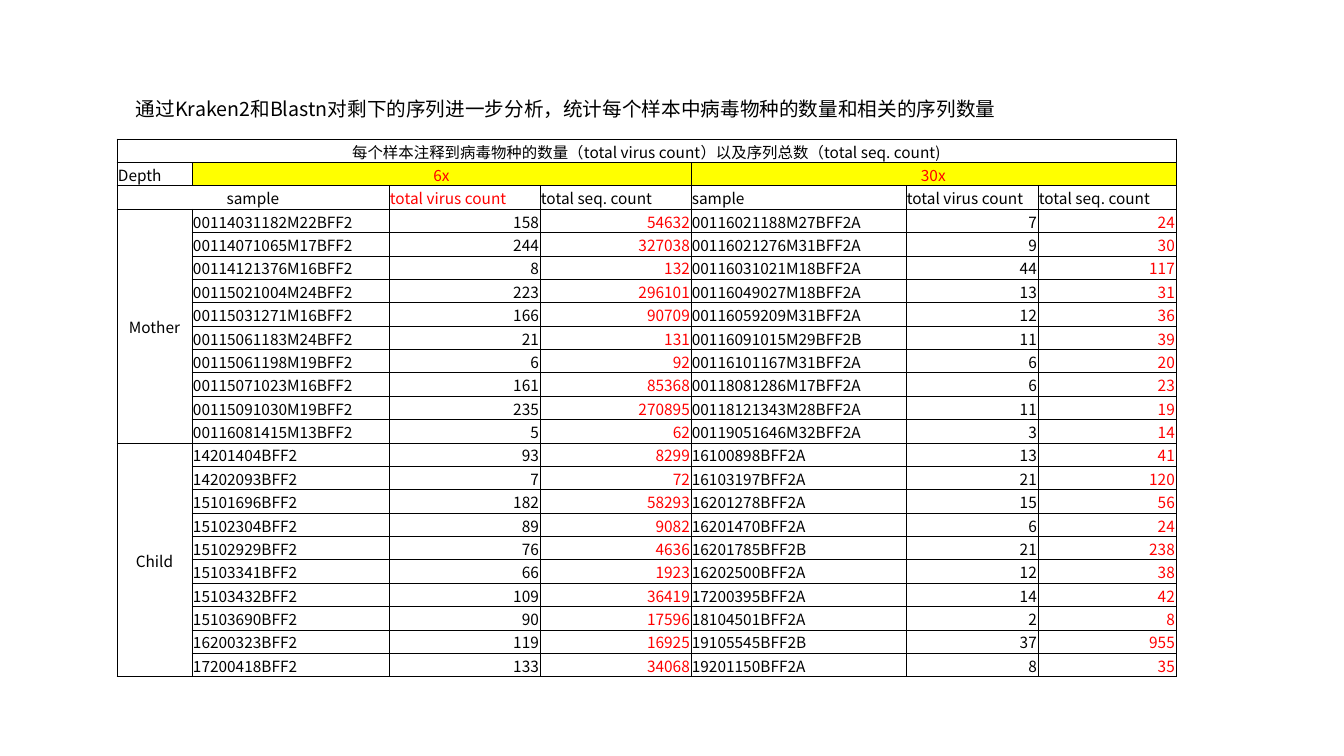
import lxml.etree
import pptx
import pptx.dml.color
import pptx.enum.text
import pptx.oxml.ns
import pptx.util

ALIGN = pptx.enum.text.PP_ALIGN
ANCHOR = pptx.enum.text.MSO_ANCHOR
BLACK, RED, YELLOW = "000000", "FF0000", "FFFF00"
VIRUS, SEQ = "total virus count", "total seq. count"

COLUMN_WIDTHS = [75, 197, 151, 151, 215, 132, 138]
ROW_HEIGHT = 20
COLUMN_COLORS = [BLACK, BLACK, BLACK, RED, BLACK, BLACK, RED]
COLUMN_ALIGNS = [ALIGN.CENTER, ALIGN.LEFT, ALIGN.RIGHT, ALIGN.RIGHT,
                 ALIGN.LEFT, ALIGN.RIGHT, ALIGN.RIGHT]

MOTHERS = [
    ("00114031182M22BFF2", 158, 54632, "00116021188M27BFF2A", 7, 24),
    ("00114071065M17BFF2", 244, 327038, "00116021276M31BFF2A", 9, 30),
    ("00114121376M16BFF2", 8, 132, "00116031021M18BFF2A", 44, 117),
    ("00115021004M24BFF2", 223, 296101, "00116049027M18BFF2A", 13, 31),
    ("00115031271M16BFF2", 166, 90709, "00116059209M31BFF2A", 12, 36),
    ("00115061183M24BFF2", 21, 131, "00116091015M29BFF2B", 11, 39),
    ("00115061198M19BFF2", 6, 92, "00116101167M31BFF2A", 6, 20),
    ("00115071023M16BFF2", 161, 85368, "00118081286M17BFF2A", 6, 23),
    ("00115091030M19BFF2", 235, 270895, "00118121343M28BFF2A", 11, 19),
    ("00116081415M13BFF2", 5, 62, "00119051646M32BFF2A", 3, 14),
]
CHILDREN = [
    ("14201404BFF2", 93, 8299, "16100898BFF2A", 13, 41),
    ("14202093BFF2", 7, 72, "16103197BFF2A", 21, 120),
    ("15101696BFF2", 182, 58293, "16201278BFF2A", 15, 56),
    ("15102304BFF2", 89, 9082, "16201470BFF2A", 6, 24),
    ("15102929BFF2", 76, 4636, "16201785BFF2B", 21, 238),
    ("15103341BFF2", 66, 1923, "16202500BFF2A", 12, 38),
    ("15103432BFF2", 109, 36419, "17200395BFF2A", 14, 42),
    ("15103690BFF2", 90, 17596, "18104501BFF2A", 2, 8),
    ("16200323BFF2", 119, 16925, "19105545BFF2B", 37, 955),
    ("17200418BFF2", 133, 34068, "19201150BFF2A", 8, 35),
]
HEADINGS = [
    ("每个样本注释到病毒物种的数量（total virus count）以及序列总数（total seq. count)",
     "", "", "", "", "", ""),
    ("Depth", "6x", "", "", "30x", "", ""),
    ("sample", "", VIRUS, SEQ, "sample", VIRUS, SEQ),
]
HEADING_FORMATS = {
    (0, 0): {"align": ALIGN.CENTER},
    (1, 1): {"align": ALIGN.CENTER, "color": RED},
    (1, 4): {"align": ALIGN.CENTER, "color": RED},
    (2, 0): {"align": ALIGN.CENTER},
    (2, 2): {"color": RED},
}
MERGES = [((0, 0), (0, 6)), ((1, 1), (1, 3)), ((1, 4), (1, 6)),
          ((2, 0), (2, 1)), ((3, 0), (12, 0)), ((13, 0), (22, 0))]


def px(length):
    return pptx.util.Emu(round(length * 914400 / 100.8))


def rgb(color):
    return pptx.dml.color.RGBColor.from_string(color)


def write(frame, text, font, size=11, color=BLACK, align=ALIGN.LEFT):
    paragraph = frame.paragraphs[0]
    paragraph.alignment = align
    run = paragraph.add_run()
    run.text = str(text)
    run.font.name = font
    run.font.size = pptx.util.Pt(size)
    run.font.color.rgb = rgb(color)
    east_asian = lxml.etree.SubElement(run.font._element, pptx.oxml.ns.qn("a:ea"))
    east_asian.set("typeface", font)


class VirusSlide:
    """Holds the shared style and the slide being filled."""

    font = "Noto Sans CJK SC"
    border_width = pptx.util.Pt(0.5)

    def __init__(self, deck):
        self.slide = deck.slides.add_slide(deck.slide_layouts[6])

    def title(self, text, left, top, width, height):
        box = self.slide.shapes.add_textbox(px(left), px(top), px(width), px(height))
        box.text_frame.word_wrap = True
        write(box.text_frame, text, self.font, size=14)

    def table(self, rows, left, top):
        size = px(sum(COLUMN_WIDTHS)), px(ROW_HEIGHT * len(rows))
        counts = self.slide.shapes.add_table(
            len(rows), len(COLUMN_WIDTHS), px(left), px(top), *size).table
        counts.first_row = counts.horz_banding = False
        for column, width in zip(counts.columns, COLUMN_WIDTHS):
            column.width = px(width)
        for row in counts.rows:
            row.height = px(ROW_HEIGHT)
        for r, values in enumerate(rows):
            for c, value in enumerate(values):
                if r < len(HEADINGS):
                    style = HEADING_FORMATS.get((r, c), {})
                else:
                    style = {"color": COLUMN_COLORS[c], "align": COLUMN_ALIGNS[c]}
                self.cell(counts.cell(r, c), value, style,
                          fill=YELLOW if r == 1 and c else None,
                          anchor=ANCHOR.BOTTOM if (r, c) == (1, 0) else ANCHOR.MIDDLE)
        for first, last in MERGES:
            counts.cell(*first).merge(counts.cell(*last))

    def cell(self, cell, value, style, fill, anchor):
        write(cell.text_frame, value, self.font, **style)
        cell.vertical_anchor = anchor
        cell.margin_left = cell.margin_right = cell.margin_top = px(1)
        cell.margin_bottom = 0
        if fill:
            cell.fill.solid()
            cell.fill.fore_color.rgb = rgb(fill)
        else:
            cell.fill.background()
        self.borders(cell)

    def borders(self, cell):
        qn = pptx.oxml.ns.qn
        properties = cell._tc.get_or_add_tcPr()
        for place, side in enumerate(("a:lnL", "a:lnR", "a:lnT", "a:lnB")):
            line = lxml.etree.Element(qn(side), w=str(self.border_width))
            solid = lxml.etree.SubElement(line, qn("a:solidFill"))
            lxml.etree.SubElement(solid, qn("a:srgbClr"), val=BLACK)
            properties.insert(place, line)


def main():
    deck = pptx.Presentation()
    deck.slide_width, deck.slide_height = px(1344), px(756)
    slide = VirusSlide(deck)
    groups = [("Mother", MOTHERS), ("Child", CHILDREN)]
    samples = [("" if i else group, *sample)
               for group, members in groups for i, sample in enumerate(members)]
    slide.table(HEADINGS + samples, 117, 139)
    slide.title("通过Kraken2和Blastn对剩下的序列进一步分析，统计每个样本中病毒物种的数量和相关的序列数量",
                126, 92, 1059, 34)
    deck.save("out.pptx")


if __name__ == "__main__":
    main()
